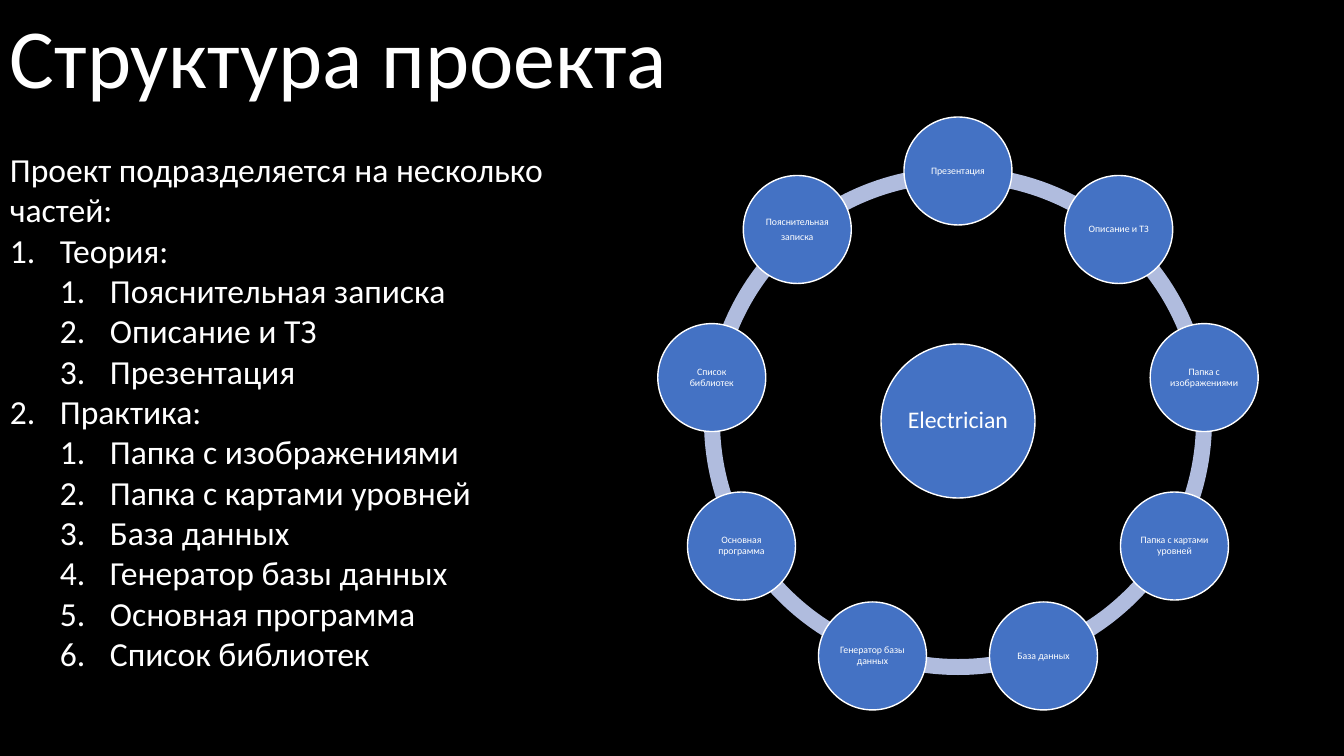
from math import cos, radians, sin

from lxml.etree import SubElement
from pptx import Presentation
from pptx.dml.color import RGBColor
from pptx.enum.shapes import MSO_SHAPE as Shape
from pptx.enum.text import MSO_ANCHOR as Anchor, MSO_AUTO_SIZE as AutoSize, PP_ALIGN as Align
from pptx.oxml.ns import qn
from pptx.util import Pt

# Content
TITLE = "Структура проекта"
INTRO = "Проект подразделяется на несколько частей:"
SECTIONS = {
    "Теория:": ["Пояснительная записка", "Описание и ТЗ", "Презентация"],
    "Практика:": ["Папка с изображениями", "Папка с картами уровней", "База данных",
                  "Генератор базы данных", "Основная программа", "Список библиотек"],
}
HUB = "Electrician"
NODES = [  # clockwise from the top; each item lists its paragraphs
    ["Презентация"], ["Описание и ТЗ"], ["Папка с изображениями"],
    ["Папка с картами уровней"], ["База данных"], ["Генератор базы данных"],
    ["Основная программа"], ["Список библиотек"], ["Пояснительная", "записка"],
]

# Style and layout, lengths in px
FONT = "Calibri"
BLACK, WHITE, BLUE, PALE = "000000", "FFFFFF", "4472C4", "B0BCDE"
WIDTH, HEIGHT = 1344, 756
TITLE_BOX = (0, 0, 682, 112)
LIST_BOX = (0, 144, 574, 539)
INDENT = 50
CENTER_X, CENTER_Y = 958, 421
ORBIT, RING_SIZE, RING_BAND = 250, 508, 16
HUB_SIZE, NODE_SIZE = 154, 108
ARC_UNIT = 0.6  # one degree of arc in adjustment units


def px(length):
    return round(length * 914400 / 100.8)


def color(value):
    return RGBColor.from_string(value)


def assign(target, **values):
    for name, value in values.items():
        setattr(target, name, value)


def write(paragraph, text, size):
    run = paragraph.add_run()
    run.text = text
    assign(run.font, name=FONT, size=Pt(size))
    run.font.color.rgb = color(WHITE)


def add_text_box(box):
    frame = slide.shapes.add_textbox(*map(px, box)).text_frame
    assign(frame, word_wrap=True, auto_size=AutoSize.SHAPE_TO_FIT_TEXT)
    return frame


def add_numbered(frame, text, level):
    paragraph = frame.add_paragraph()
    paragraph.level = level
    write(paragraph, text, 24)
    properties = paragraph.runs[0].font and paragraph._p.get_or_add_pPr()
    properties.set("marL", str(px(INDENT * (level + 1))))
    properties.set("indent", str(-px(INDENT)))
    SubElement(properties, qn("a:buFont"), typeface="+mj-lt")
    SubElement(properties, qn("a:buAutoNum"), type="arabicPeriod")


def add_round(kind, x, y, size, fill):
    shape = diagram.shapes.add_shape(
        kind, px(x - size / 2), px(y - size / 2), px(size), px(size))
    shape.shadow.inherit = False
    shape.fill.solid()
    shape.fill.fore_color.rgb = color(fill)
    return shape


def add_circle(x, y, size, lines, font_size, inset):
    shape = add_round(Shape.OVAL, x, y, size, BLUE)
    shape.line.width = Pt(1)
    shape.line.color.rgb = color(WHITE)
    frame = shape.text_frame
    assign(frame, word_wrap=True, vertical_anchor=Anchor.MIDDLE,
           margin_left=px(inset), margin_right=px(inset),
           margin_top=px(inset), margin_bottom=px(inset))
    for index, line in enumerate(lines):
        paragraph = frame.add_paragraph() if index else frame.paragraphs[0]
        last = index == len(lines) - 1
        assign(paragraph, alignment=Align.CENTER, line_spacing=0.9,
               space_after=Pt(0 if last else 3))
        write(paragraph, line, font_size)


presentation = Presentation()
assign(presentation, slide_width=px(WIDTH), slide_height=px(HEIGHT))
slide = presentation.slides.add_slide(presentation.slide_layouts[6])
slide.background.fill.solid()
slide.background.fill.fore_color.rgb = color(BLACK)

# Title and outline
write(add_text_box(TITLE_BOX).paragraphs[0], TITLE, 60)
outline = add_text_box(LIST_BOX)
write(outline.paragraphs[0], INTRO, 24)
for section, items in SECTIONS.items():
    add_numbered(outline, section, 0)
    for item in items:
        add_numbered(outline, item, 1)

# Ring of arcs, one between each pair of neighbours
diagram = slide.shapes.add_group_shape()
step = 360 / len(NODES)
angles = [270 + step * index for index in range(len(NODES))]
for angle in angles:
    arc = add_round(Shape.BLOCK_ARC, CENTER_X, CENTER_Y, RING_SIZE, PALE)
    arc.line.fill.background()
    arc.adjustments[0] = angle % 360 * ARC_UNIT
    arc.adjustments[1] = (angle + step) % 360 * ARC_UNIT
    arc.adjustments[2] = RING_BAND / RING_SIZE

# Hub and nodes
add_circle(CENTER_X, CENTER_Y, HUB_SIZE, [HUB], 17, 2)
for angle, lines in zip(angles, NODES):
    add_circle(CENTER_X + ORBIT * cos(radians(angle)),
               CENTER_Y + ORBIT * sin(radians(angle)), NODE_SIZE, lines, 7, 1)

presentation.save("out.pptx")
